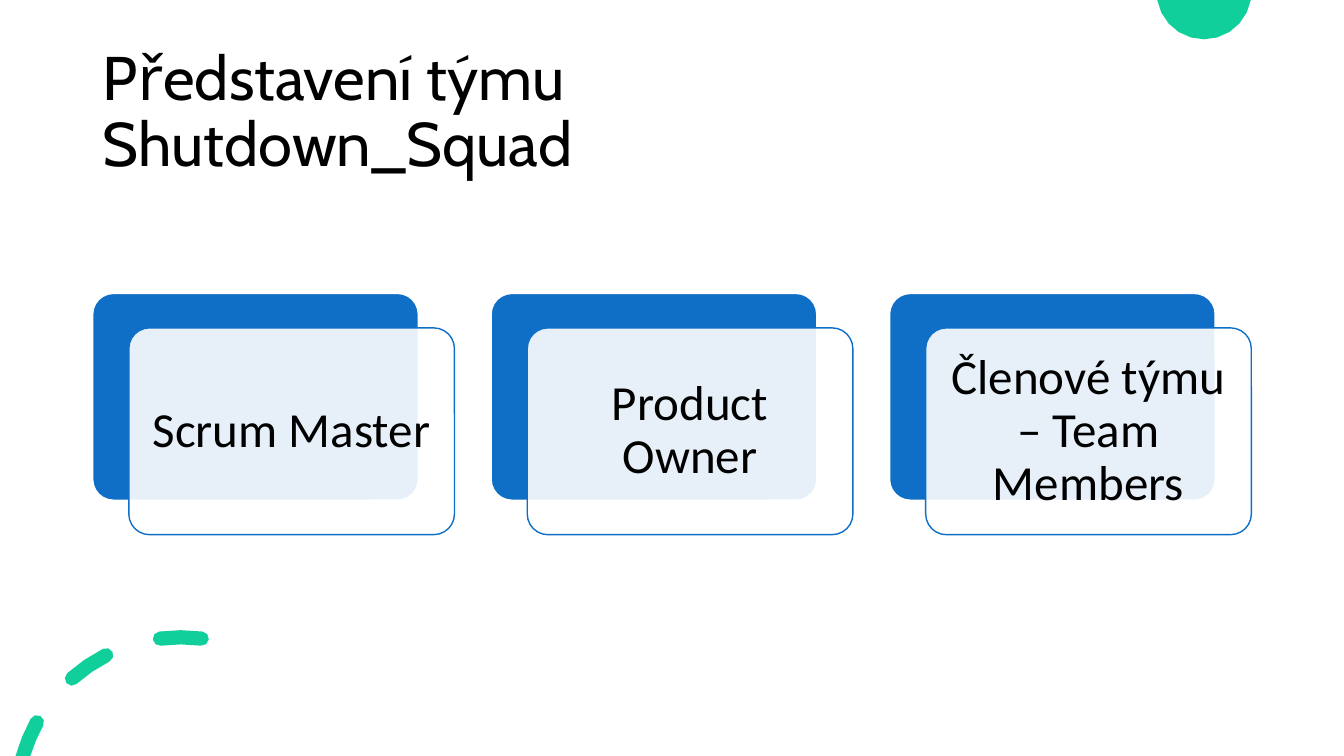
from math import asin, cos, degrees, radians, sin

from lxml.etree import SubElement
from pptx import Presentation
from pptx.dml.color import RGBColor
from pptx.enum.shapes import MSO_SHAPE
from pptx.enum.text import MSO_ANCHOR, PP_ALIGN
from pptx.oxml.ns import qn
from pptx.util import Pt

SLIDE_WIDTH, SLIDE_HEIGHT = 960, 540
GREEN, BLUE, WHITE, BLACK = "10CF9B", "0F6FC6", "FFFFFF", "000000"
ROLES = ["Scrum Master", "Product Owner", "Členové týmu – Team Members"]
CARD_LEFT, CARD_TOP, CARD_PITCH = 66.24, 209.6, 284.6
CARD_WIDTH, CARD_HEIGHT = 232.6, 147.7
CARD_SHIFT_X, CARD_SHIFT_Y, TEXT_MARGIN = 25.8, 24.6, 4.3
RING_X, RING_Y, RING_RADIUS, DASH_HALF = 129.2, 572.6, 117.4, 5.1


def color(value):
    """Turn a hex string into a colour."""
    return RGBColor.from_string(value)


def arc(center_x, center_y, radius, start, end, steps):
    """Return points along an arc, with angles in degrees counted anticlockwise."""
    angles = [radians(start + (end - start) * step / steps) for step in range(steps + 1)]
    return [(Pt(center_x + radius * cos(a)), Pt(center_y - radius * sin(a))) for a in angles]


def ring_arc(radius, start, end):
    """Return points along an arc of the dashed ring."""
    return arc(RING_X, RING_Y, radius, start, end, 2)


def dash_cap(angle, turn):
    """Return the points between the two corners of a round dash end."""
    x = RING_X + RING_RADIUS * cos(radians(angle))
    y = RING_Y - RING_RADIUS * sin(radians(angle))
    return arc(x, y, DASH_HALF, angle + turn, angle + turn + 180, 4)[1:-1]


def round_dash(start, end):
    """Outline a dash with two round ends."""
    return (ring_arc(RING_RADIUS + DASH_HALF, start, end) + dash_cap(end, 0)
            + ring_arc(RING_RADIUS - DASH_HALF, end, start) + dash_cap(start, 180))


def cut_dash(start):
    """Outline a dash that is cut off by the bottom edge of the slide."""
    outer, inner = RING_RADIUS + DASH_HALF, RING_RADIUS - DASH_HALF
    depth = RING_Y - SLIDE_HEIGHT
    outer_end, inner_end = (180 - degrees(asin(depth / r)) for r in (outer, inner))
    return (ring_arc(outer, start, outer_end) + ring_arc(inner, inner_end, start)
            + dash_cap(start, 180))


def add_outline(page, outlines):
    """Draw closed outlines as one green shape."""
    builder = page.shapes.build_freeform(*outlines[0][0])
    for index, outline in enumerate(outlines):
        if index:
            builder.move_to(*outline[0])
        builder.add_line_segments(outline[1:], close=True)
    shape = builder.convert_to_shape()
    shape.shadow.inherit = False
    shape.fill.solid()
    shape.fill.fore_color.rgb = color(GREEN)
    shape.line.fill.background()


def add_card(page, left, top, fill, line, opacity=100):
    """Add a rounded rectangle."""
    card = page.shapes.add_shape(MSO_SHAPE.ROUNDED_RECTANGLE, Pt(left), Pt(top),
                                 Pt(CARD_WIDTH), Pt(CARD_HEIGHT))
    card.adjustments[0] = 0.1
    card.shadow.inherit = False
    card.fill.solid()
    card.fill.fore_color.rgb = color(fill)
    card.line.color.rgb = color(line)
    card.line.width = Pt(1)
    if opacity < 100:
        tint = card.fill._xPr.find(qn("a:solidFill"))[0]
        SubElement(tint, qn("a:alpha")).set("val", str(opacity * 1000))


def add_text(page, left, top, width, height, text, font, size, align, inset_x, inset_y):
    """Add a text box with one vertically centred paragraph."""
    box = page.shapes.add_textbox(Pt(left), Pt(top), Pt(width), Pt(height))
    frame = box.text_frame
    frame.word_wrap = True
    frame.vertical_anchor = MSO_ANCHOR.MIDDLE
    frame.margin_left = frame.margin_right = Pt(inset_x)
    frame.margin_top = frame.margin_bottom = Pt(inset_y)
    para = frame.paragraphs[0]
    para.text = text
    para.alignment = align
    para.line_spacing = 0.9
    para.font.name = font
    para.font.size = Pt(size)
    para.font.color.rgb = color(BLACK)


def add_role(page, left, role):
    """Add a blue card, the pale card over it and the role name."""
    front_left, front_top = left + CARD_SHIFT_X, CARD_TOP + CARD_SHIFT_Y
    add_card(page, left, CARD_TOP, BLUE, WHITE)
    add_card(page, front_left, front_top, WHITE, BLUE, opacity=90)
    add_text(page, front_left + TEXT_MARGIN, front_top + TEXT_MARGIN,
             CARD_WIDTH - 2 * TEXT_MARGIN, CARD_HEIGHT - 2 * TEXT_MARGIN,
             role, "Calibri", 35, PP_ALIGN.CENTER, 10.5, 10.5)


def main():
    """Build the team slide."""
    deck = Presentation()
    deck.slide_width, deck.slide_height = Pt(SLIDE_WIDTH), Pt(SLIDE_HEIGHT)
    page = deck.slides.add_slide(deck.slide_layouts[6])
    page.background.fill.solid()
    page.background.fill.fore_color.rgb = color(WHITE)
    add_outline(page, [arc(860, -5.8, 33.9, 189.85, 350.15, 10)])
    add_outline(page, [cut_dash(151.1), round_dash(117, 131.5), round_dash(82.7, 97.3)])
    add_text(page, 66.24, 28.8, 828, 104.4, "Představení týmu\vShutdown_Squad",
             "Cabin", 44, PP_ALIGN.LEFT, 7.2, 3.6)
    for index, role in enumerate(ROLES):
        add_role(page, CARD_LEFT + index * CARD_PITCH, role)
    deck.save("out.pptx")


if __name__ == "__main__":
    main()
